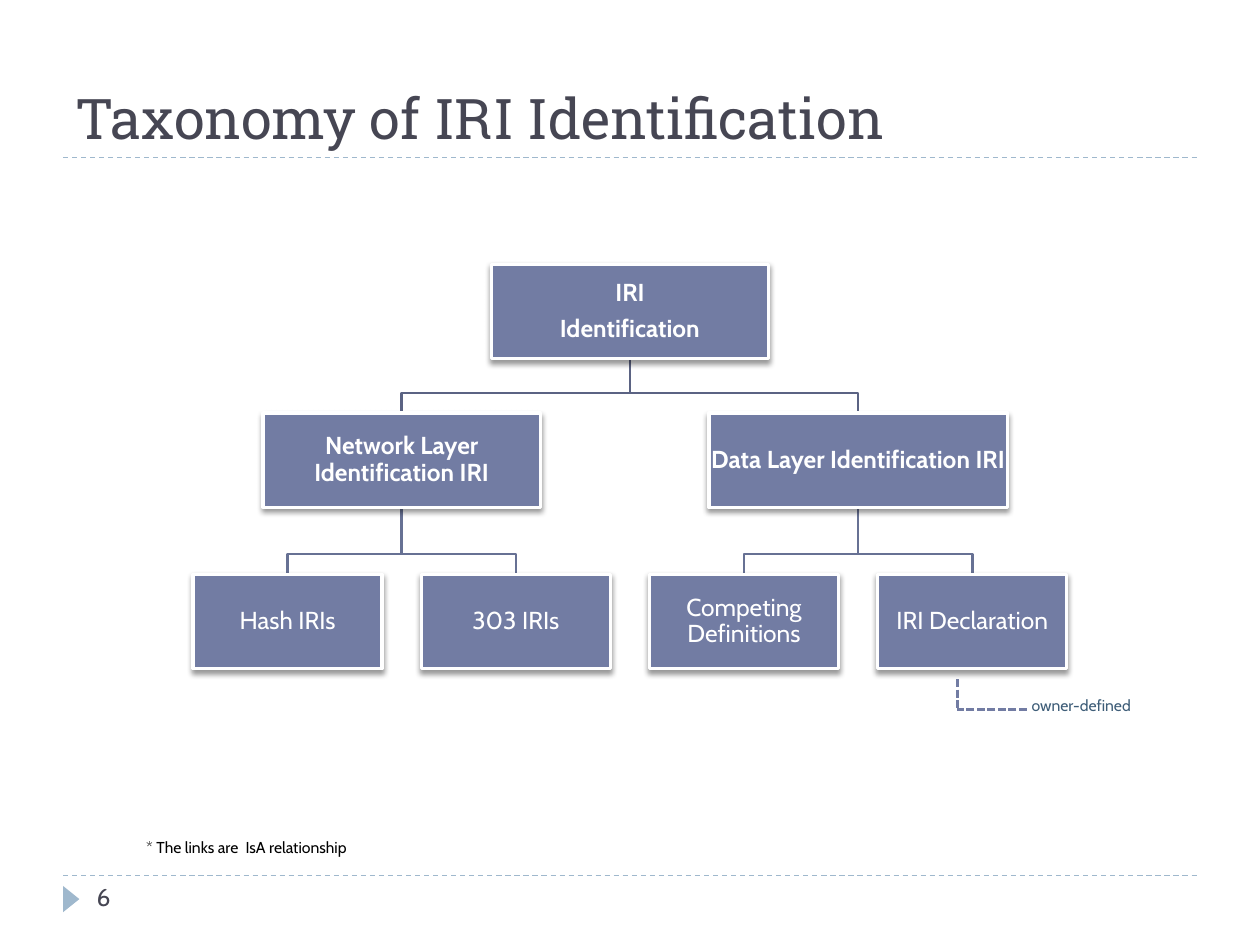
"""Build the slide with the taxonomy tree of IRI identification."""
from lxml import etree
from pptx import Presentation
from pptx import util as u
from pptx.dml.color import RGBColor
from pptx.enum import dml, shapes, text
from pptx.oxml.ns import qn

COLORS = {"ink": "464653", "rule": "9FB8CD", "box": "727CA3", "white": "FFFFFF", "black": "000000",
          "upper": "5B6383", "lower": "677194", "label": "3E5D78"}
TITLE = "Taxonomy of IRI Identification"
LEAVES = ["Hash IRIs", "303 IRIs", "Competing Definitions", "IRI Declaration"]
BRANCHES = [("Network Layer Identification IRI", 5.59), ("Data Layer Identification IRI", 6.02)]
ROOT, ROOT_WIDTH = "IRI\nIdentification", 5.59
LEAF_WIDTH, BOX_HEIGHT, BUS_GAP = 3.81, 1.9, 0.41
LEAF_START, LEAF_STEP = 5.8, 4.6
TOPS = {"root": 5.33, "branch": 8.33, "leaf": 11.58}
RULES = [(1.27, y, 24.13, y, "rule", 0.75, dml.MSO_LINE.DASH) for y in (3.18, 17.65)]
CALLOUT = [(19.3, 13.69, 19.3, 14.27, "box", 1.5, dml.MSO_LINE.SQUARE_DOT),
           (20.7, 14.3, 19.3, 14.3, "box", 1.5, dml.MSO_LINE.SQUARE_DOT)]
LABELS = [("6", (1.7, 17.65, 5.51, 1.02),
           dict(size=14, color="ink", align="LEFT", anchor="TOP", inset=0.25)),
          ("* The links are  IsA relationship", (2.31, 16.79, 5.31, 0.58), dict(size=9, color="black")),
          ("owner-defined", (20.5, 13.92, 2.59, 0.58), dict(size=9, color="label"))]


def rgb(name):
    return RGBColor.from_string(COLORS[name])


def cm(*values):
    return [u.Cm(value) for value in values]


def write(shape, words, size=14, color="white", font="Cabin", bold=False, align="CENTER",
          anchor="MIDDLE", inset=0.03, spacing=1.0, after=0):
    frame = shape.text_frame
    frame.text = words
    frame.word_wrap = True
    frame.auto_size = text.MSO_AUTO_SIZE.NONE
    frame.vertical_anchor = text.MSO_ANCHOR[anchor]
    frame.margin_left = frame.margin_right = u.Cm(inset)
    frame.margin_top = frame.margin_bottom = u.Cm(inset / 2)
    for para in frame.paragraphs:
        para.alignment = text.PP_ALIGN[align]
        para.line_spacing = spacing
        para.space_after = u.Pt(after)
        for span in para.runs:
            span.font.size, span.font.name, span.font.bold = u.Pt(size), font, bold
            span.font.color.rgb = rgb(color)


def add_line(x1, y1, x2, y2, color, width, dash):
    line = slide.shapes.add_connector(shapes.MSO_CONNECTOR.STRAIGHT, *cm(x1, y1, x2, y2))
    line.line.color.rgb, line.line.width, line.line.dash_style = rgb(color), u.Pt(width), dash
    etree.SubElement(line._element.spPr, qn("a:effectLst"))


def add_elbow(parent_x, parent_top, child_x, child_top, color):
    bus = child_top - BUS_GAP
    builder = slide.shapes.build_freeform(*cm(parent_x, parent_top + BOX_HEIGHT))
    builder.add_line_segments([cm(parent_x, bus), cm(child_x, bus), cm(child_x, child_top)], close=False)
    elbow = builder.convert_to_shape()
    elbow.shadow.inherit = False
    elbow.fill.background()
    elbow.line.color.rgb, elbow.line.width = rgb(color), u.Pt(1.5)


def add_box(words, center, top, width, bold=False):
    box = slide.shapes.add_shape(shapes.MSO_SHAPE.RECTANGLE,
                                 *cm(center - width / 2, top, width, BOX_HEIGHT))
    box.shadow.inherit = False
    box.fill.solid()
    box.fill.fore_color.rgb = rgb("box")
    box.line.color.rgb, box.line.width = rgb("white"), u.Pt(2)
    effects = box._element.spPr.find(qn("a:effectLst"))
    shadow = etree.SubElement(effects, qn("a:outerShdw"), blurRad=str(u.Pt(3)), dist=str(u.Pt(2)),
                              dir="5400000", rotWithShape="0")
    tint = etree.SubElement(shadow, qn("a:srgbClr"), val=COLORS["black"])
    etree.SubElement(tint, qn("a:alpha"), val="40000")
    write(box, words, bold=bold, spacing=0.9, after=5)


deck = Presentation()
deck.slide_width, deck.slide_height = cm(25.4, 19.05)
slide = deck.slides.add_slide(deck.slide_layouts[5])

for rule in RULES:
    add_line(*rule)
marker = slide.shapes.add_shape(shapes.MSO_SHAPE.ISOSCELES_TRIANGLE, *cm(1.17, 17.96, 0.53, 0.33))
marker.rotation = 90
marker.shadow.inherit = False
marker.fill.solid()
marker.fill.fore_color.rgb = rgb("rule")
marker.line.fill.background()

title = slide.shapes.title
title.left, title.top, title.width, title.height = cm(1.27, 0.43, 22.86, 2.74)
write(title, TITLE, size=32, color="ink", font="Roboto Slab", align="LEFT", anchor="BOTTOM", inset=0.25)

leaf_centers = [LEAF_START + LEAF_STEP * index for index in range(len(LEAVES))]
branch_centers = [sum(leaf_centers[index:index + 2]) / 2 for index in (0, 2)]
root_center = sum(branch_centers) / 2

for index, center in enumerate(leaf_centers):
    add_elbow(branch_centers[index // 2], TOPS["branch"], center, TOPS["leaf"], "lower")
for center in branch_centers:
    add_elbow(root_center, TOPS["root"], center, TOPS["branch"], "upper")

add_box(ROOT, root_center, TOPS["root"], ROOT_WIDTH, bold=True)
for (words, width), center in zip(BRANCHES, branch_centers):
    add_box(words, center, TOPS["branch"], width, bold=True)
for words, center in zip(LEAVES, leaf_centers):
    add_box(words, center, TOPS["leaf"], LEAF_WIDTH)

for segment in CALLOUT:
    add_line(*segment)
for words, place, style in LABELS:
    write(slide.shapes.add_textbox(*cm(*place)), words, **style)

deck.save("out.pptx")
